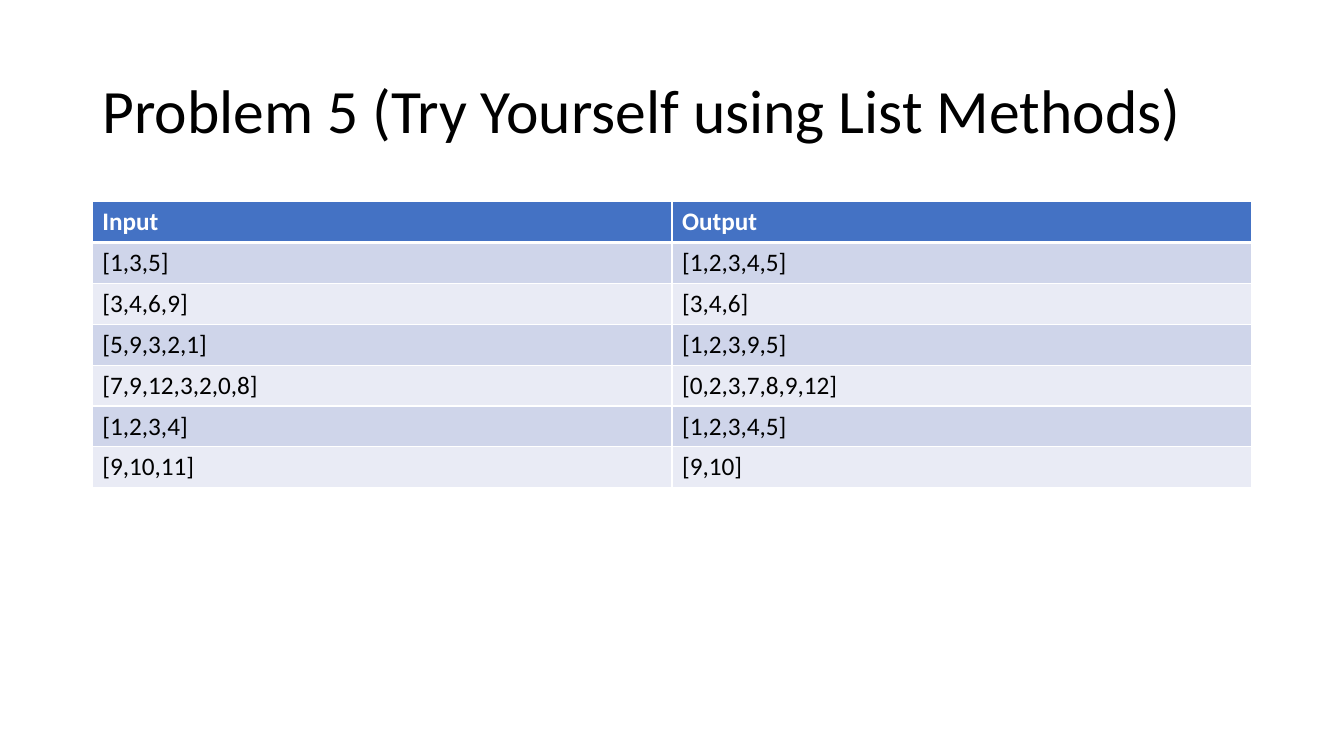
from lxml import etree
from pptx import Presentation
from pptx.dml.color import RGBColor
from pptx.enum import text
from pptx.oxml import ns
from pptx.util import Pt

ROWS = [
    ("Input", "Output"),
    ("[1,3,5]", "[1,2,3,4,5]"),
    ("[3,4,6,9]", "[3,4,6]"),
    ("[5,9,3,2,1]", "[1,2,3,9,5]"),
    ("[7,9,12,3,2,0,8]", "[0,2,3,7,8,9,12]"),
    ("[1,2,3,4]", "[1,2,3,4,5]"),
    ("[9,10,11]", "[9,10]"),
]
LEFT, WIDTH = 66, 828


def rgb(color):
    return RGBColor.from_string(color)


class Deck:
    font = "Calibri"
    black, white = "000000", "FFFFFF"
    header, bands = "4472C4", ("E9EBF5", "CFD5EA")

    def __init__(self, width, height):
        self.prs = Presentation()
        self.prs.slide_width, self.prs.slide_height = Pt(width), Pt(height)

    def add_slide(self):
        self.s = self.prs.slides.add_slide(self.prs.slide_layouts[5])

    def style(self, p, size, color, bold=False):
        for r in p.runs:
            r.font.name, r.font.size, r.font.bold = self.font, Pt(size), bold
            r.font.color.rgb = rgb(color)

    def title(self, words, x, y, w, h):
        sp = self.s.shapes.title
        sp.left, sp.top, sp.width, sp.height = Pt(x), Pt(y), Pt(w), Pt(h)
        tf = sp.text_frame
        tf.text = words
        tf.word_wrap = True
        tf.vertical_anchor = text.MSO_ANCHOR.MIDDLE
        p = tf.paragraphs[0]
        p.alignment = text.PP_ALIGN.LEFT
        p.line_spacing = 0.9
        self.style(p, 44, self.black)

    def border(self, cell, side, width):
        tc_pr = cell._tc.get_or_add_tcPr()
        ln = etree.SubElement(tc_pr, ns.qn(f"a:ln{side}"), w=str(Pt(width)))
        fill = etree.SubElement(ln, ns.qn("a:solidFill"))
        etree.SubElement(fill, ns.qn("a:srgbClr"), val=self.white)

    def table(self, rows, x, y, w, row_height):
        shape = self.s.shapes.add_table(
            len(rows), len(rows[0]), Pt(x), Pt(y), Pt(w), Pt(row_height * len(rows)))
        for i, row in enumerate(rows):
            is_header = i == 0
            for j, words in enumerate(row):
                cell = shape.table.cell(i, j)
                cell.text = words
                color = self.white if is_header else self.black
                self.style(cell.text_frame.paragraphs[0], 18, color, is_header)
                # The rule below the header is shared by the first two rows.
                widths = {"L": 1, "R": 1, "T": 3 if i == 1 else 1, "B": 3 if is_header else 1}
                for side, width in widths.items():
                    self.border(cell, side, width)
                cell.fill.solid()
                cell.fill.fore_color.rgb = rgb(self.header if is_header else self.bands[i % 2])


def main():
    deck = Deck(960, 540)
    deck.add_slide()
    deck.title("Problem 5 (Try Yourself using List Methods)", LEFT, 28.75, WIDTH, 104.4)
    deck.table(ROWS, LEFT, 144, WIDTH, 29.2)
    deck.prs.save("out.pptx")


if __name__ == "__main__":
    main()
